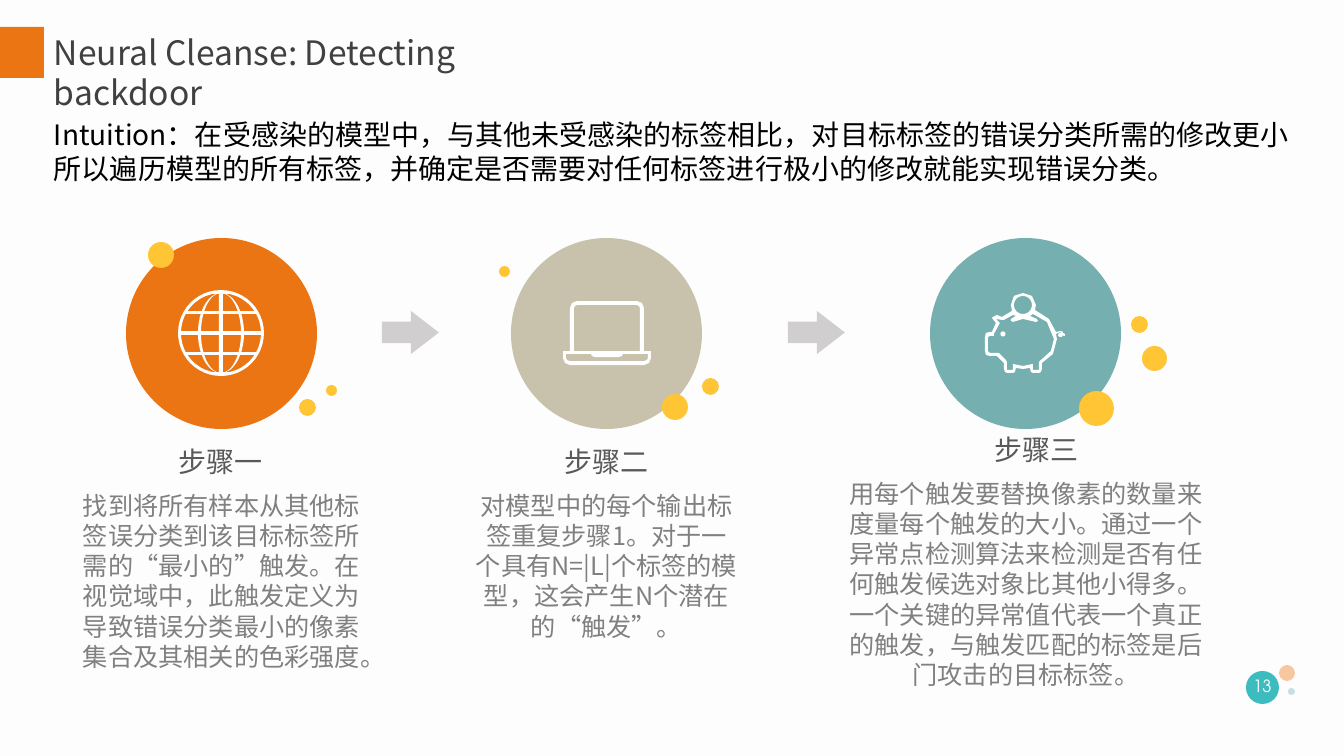
from math import cos, pi, sin, sqrt

from lxml.etree import SubElement
from pptx import Presentation
from pptx.dml.color import RGBColor
from pptx.enum.shapes import MSO_SHAPE
from pptx.enum.text import MSO_ANCHOR, MSO_AUTO_SIZE, PP_ALIGN
from pptx.oxml.ns import qn
from pptx.util import Pt

PIXEL = 914400 / 100.8
FINE = 10

WHITE = RGBColor(0xFF, 0xFF, 0xFF)
PAPER = RGBColor(0xFD, 0xFD, 0xFD)
BLACK = RGBColor(0x00, 0x00, 0x00)
TITLE_GRAY = RGBColor(0x40, 0x40, 0x40)
STEP_GRAY = RGBColor(0x59, 0x59, 0x59)
BODY_GRAY = RGBColor(0x80, 0x80, 0x80)
ARROW_GRAY = RGBColor(0xD0, 0xCE, 0xCE)
ORANGE = RGBColor(0xEB, 0x75, 0x13)
SAND = RGBColor(0xC8, 0xC2, 0xAC)
TEAL = RGBColor(0x76, 0xAF, 0xAF)
YELLOW = RGBColor(0xFF, 0xC5, 0x35)
BADGE = RGBColor(0x3D, 0xBC, 0xC0)
PEACH = RGBColor(0xF7, 0xC8, 0xA0)
MIST = RGBColor(0xC8, 0xDF, 0xDF)

CJK = "Noto Sans CJK SC"
TITLE = {"size": Pt(24), "name": CJK, "color": TITLE_GRAY}
INTUITION = {"size": Pt(20), "name": CJK, "color": BLACK}
STEP = {"size": Pt(20), "name": CJK, "color": STEP_GRAY}
BODY = {"size": Pt(18), "name": CJK, "color": BODY_GRAY}
NUMBER = {"size": Pt(12), "name": "TeX Gyre Adventor", "color": WHITE}

PIG_OUTLINE = [
    (1065, 334), (1063, 333), (1063, 332), (1061, 331), (1056, 332), (1049, 319),
    (1035, 310), (1036, 305), (1032, 296), (1023, 293), (1014, 296), (1011, 305),
    (1012, 311), (1002, 317), (997, 315), (993, 317), (992, 318), (996, 323),
    (992, 332), (990, 332), (986, 333), (985, 337), (985, 351), (986, 355),
    (990, 356), (997, 356), (1004, 363), (1004, 369), (1005, 372), (1007, 373),
    (1013, 373), (1015, 372), (1016, 368), (1023, 369), (1030, 368), (1031, 372),
    (1033, 373), (1039, 373), (1041, 372), (1042, 369), (1042, 363), (1053, 354),
    (1057, 339), (1056, 334), (1060, 332), (1062, 333), (1059, 333), (1058, 336),
    (1060, 337), (1062, 337), (1063, 335), (1064, 336), (1065, 336)]
PIG_BODY = [
    (1040, 361), (1039, 362), (1039, 370), (1033, 370), (1033, 364), (1023, 366),
    (1013, 364), (1013, 370), (1007, 370), (1007, 362), (1006, 360), (999, 353),
    (990, 353), (988, 351), (988, 337), (990, 336), (994, 336), (994, 334),
    (1000, 323), (996, 319), (1002, 320), (1004, 320), (1013, 315), (1016, 316),
    (1011, 319), (1011, 321), (1013, 322), (1023, 319), (1036, 322), (1038, 321),
    (1037, 319), (1030, 316), (1033, 314), (1047, 322), (1054, 339), (1051, 351)]


def to_emu(*lengths):
    return [round(length * PIXEL) for length in lengths]


def paint(shape, color):
    shape.shadow.inherit = False
    shape.fill.solid()
    shape.fill.fore_color.rgb = color
    shape.line.fill.background()


def add_solid(shapes, kind, frame, color):
    shape = shapes.add_shape(kind, *to_emu(*frame))
    paint(shape, color)
    return shape


def add_arrow(shapes, left):
    arrow = add_solid(shapes, MSO_SHAPE.RIGHT_ARROW, (left, 311, 57, 43), ARROW_GRAY)
    arrow.adjustments[1] = 0.65


def add_text(shapes, frame, lines, style, align=PP_ALIGN.LEFT,
             anchor=MSO_ANCHOR.TOP, fit=MSO_AUTO_SIZE.SHAPE_TO_FIT_TEXT):
    box = shapes.add_textbox(*to_emu(*frame))
    layout = {"word_wrap": True, "vertical_anchor": anchor, "auto_size": fit}
    for key, value in layout.items():
        setattr(box.text_frame, key, value)
    box.text_frame.text = "\n".join(lines)
    for para in box.text_frame.paragraphs:
        para.alignment = align
        for span in para.runs:
            for key, value in style.items():
                if key == "color":
                    span.font.color.rgb = value
                else:
                    setattr(span.font, key, value)
            SubElement(span.font._element, qn("a:ea"), typeface=style["name"])


def add_icon(shapes, contours):
    fine = [[(round(x * FINE), round(y * FINE)) for x, y in contour] for contour in contours]
    builder = shapes.build_freeform(*fine[0][0], scale=PIXEL / FINE)
    for index, contour in enumerate(fine):
        if index:
            builder.move_to(*contour[0])
        builder.add_line_segments(contour[1:], close=True)
    paint(builder.convert_to_shape(), WHITE)


def circle(x, y, radius, steps=48):
    angles = [2 * pi * step / steps for step in range(steps)]
    return [(x + radius * cos(angle), y + radius * sin(angle)) for angle in angles]


def globe_cell(x, y, side, flip, band, near, far):
    top, bottom = band
    heights = [top + (bottom - top) * step / 8 for step in range(9)]
    inner = [(max(2, near * sqrt(1 - (h / 40) ** 2)), h) for h in heights]
    outer = [(max(2, far * sqrt(1 - (h / 40) ** 2)), h) for h in reversed(heights)]
    return [(x + side * dx, y + flip * dy) for dx, dy in inner + outer]


def globe():
    cells = [globe_cell(221, 333, side, flip, band, near, far)
             for side in (-1, 1) for flip in (-1, 1)
             for band in ((2, 19), (22, 39)) for near, far in ((0, 20), (23, 40))]
    return [circle(221, 333, 43)] + cells


def mirrored(center, half):
    right = [(center + dx, y) for dx, y in half]
    return right + [(center - dx, y) for dx, y in reversed(half)]


def laptop():
    case = [(30, 301), (35, 303), (37, 308), (37, 351), (44, 351), (44, 358), (42, 363), (37, 365)]
    screen = [(30, 305), (32, 306), (33, 308), (33, 351)]
    base = [(12, 357), (15, 356), (16, 354), (41, 354), (41, 358), (40, 360), (37, 361)]
    return [mirrored(607, half) for half in (case, screen, base)]


def piggy_bank():
    return [PIG_OUTLINE, PIG_BODY, circle(1023, 305, 9), circle(1003, 334, 2.5)]


def add_step(page, left, color, icon, heading, heading_frame, body, body_frame, bubbles):
    shapes = page.shapes.add_group_shape().shapes
    add_solid(shapes, MSO_SHAPE.OVAL, (left, 238, 191, 191), color)
    add_icon(shapes, icon)
    add_text(shapes, heading_frame, [heading], STEP, PP_ALIGN.CENTER)
    add_text(shapes, body_frame, [body], BODY, PP_ALIGN.CENTER)
    for x, y, size in bubbles:
        add_solid(shapes, MSO_SHAPE.OVAL, (x, y, size, size), YELLOW)


def add_page_number(page):
    for frame, color in (((1246, 671, 33, 33), BADGE), ((1279, 665, 16, 16), PEACH),
                         ((1288, 688, 7, 7), MIST)):
        add_solid(page.shapes, MSO_SHAPE.OVAL, frame, color)
    add_text(page.shapes, (1239, 666, 47, 40), ["13"], NUMBER, PP_ALIGN.CENTER,
             MSO_ANCHOR.MIDDLE, MSO_AUTO_SIZE.NONE)


def main():
    deck = Presentation()
    deck.slide_width, deck.slide_height = to_emu(1344, 756)
    page = deck.slides.add_slide(deck.slide_layouts[6])
    page.background.fill.solid()
    page.background.fill.fore_color.rgb = PAPER

    add_page_number(page)
    header = page.shapes.add_group_shape().shapes
    add_solid(header, MSO_SHAPE.RECTANGLE, (0, 27, 44, 51), ORANGE)
    add_text(header, (44, 27, 566, 50), ["Neural Cleanse: Detecting backdoor"], TITLE)
    add_text(page.shapes, (44, 113, 1278, 78), [
        "Intuition：在受感染的模型中，与其他未受感染的标签相比，对目标标签的错误分类所需的修改更小",
        "所以遍历模型的所有标签，并确定是否需要对任何标签进行极小的修改就能实现错误分类。"], INTUITION)
    for left in (382, 788):
        add_arrow(page.shapes, left)

    add_step(page, 126, ORANGE, globe(), "步骤一", (144, 440, 153, 44),
             "找到将所有样本从其他标签误分类到该目标标签所需的“最小的”触发。在视觉域中，"
             "此触发定义为导致错误分类最小的像素集合及其相关的色彩强度。",
             (61, 485, 321, 194), [(148, 242, 26), (326, 385, 11), (299, 399, 17)])
    add_step(page, 511, SAND, laptop(), "步骤二", (554, 440, 105, 44),
             "对模型中的每个输出标签重复步骤1。对于一个具有N=|L|个标签的模型，"
             "这会产生N个潜在的“触发”。",
             (465, 485, 283, 163), [(662, 394, 26), (499, 266, 11), (702, 378, 17)])
    add_step(page, 930, TEAL, piggy_bank(), "步骤三", (942, 428, 190, 44),
             "用每个触发要替换像素的数量来度量每个触发的大小。通过一个异常点检测算法来检测"
             "是否有任何触发候选对象比其他小得多。一个关键的异常值代表一个真正的触发，"
             "与触发匹配的标签是后门攻击的目标标签。",
             (829, 473, 394, 224), [(1142, 346, 25), (1079, 391, 35), (1131, 316, 17)])
    deck.save("out.pptx")


main()
